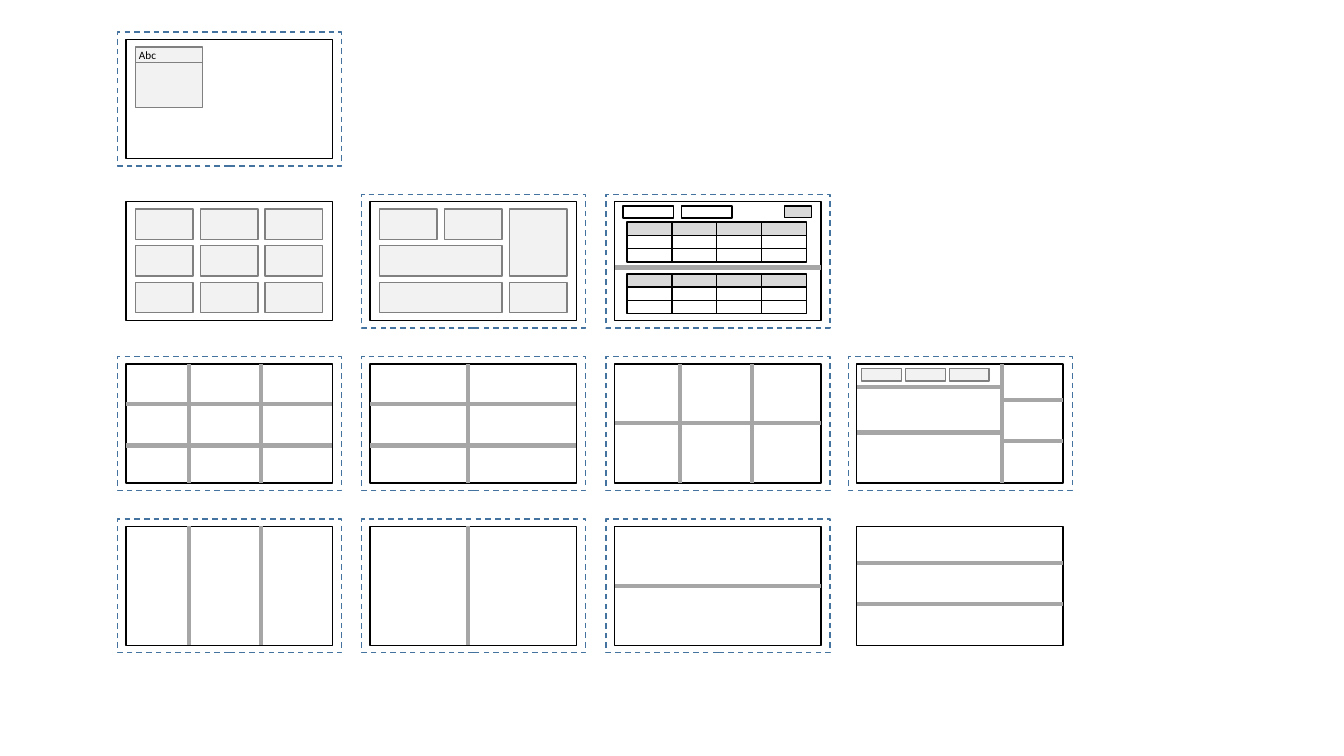
from itertools import product

from lxml.etree import SubElement
from pptx import Presentation
from pptx.dml.color import RGBColor
from pptx.enum.dml import MSO_LINE_DASH_STYLE as Dash
from pptx.enum.shapes import MSO_CONNECTOR as Connector, MSO_SHAPE as Shape
from pptx.enum.text import MSO_AUTO_SIZE as AutoSize
from pptx.oxml.ns import qn
from pptx.util import Pt

COLUMN_LEFTS = (90, 264.4, 439, 612)
FIRST_TOP, ROW_PITCH = 28.2, 115.9
WIDTH, HEIGHT = 147.4, 85

STYLES = {
    "frame": ("FFFFFF", "000000", {"width": Pt(1)}),
    "outline": (None, "000000", {"width": Pt(1)}),
    "selection": (None, "43739E", {"width": Pt(1), "dash_style": Dash.DASH}),
    "tile": ("F2F2F2", "808080", {"width": Pt(1)}),
    "header": ("D9D9D9", "000000", {"width": Pt(1)}),
    "divider": (None, "A6A6A6", {"width": Pt(3)}),
    "rule": (None, "808080", {"width": Pt(0.5)}),
}


def color(value):
    """Turn a hex string into a colour."""
    return RGBColor.from_string(value)


def apply(target, values):
    """Set each format value on the target."""
    for name, value in values.items():
        setattr(target, name, value)


class Wireframes:
    """Draws layout panels; lengths count from the current panel's corner."""

    def __init__(self, slide):
        """Keep the slide and start at its corner."""
        self.slide = slide
        self.left = self.top = 0

    def stroke(self, line, style):
        """Give a line its style."""
        _, stroke, values = STYLES[style]
        line.color.rgb = color(stroke)
        apply(line, values)

    def box(self, style, x, y, width, height):
        """Add a styled rectangle."""
        shape = self.slide.shapes.add_shape(
            Shape.RECTANGLE, Pt(self.left + x), Pt(self.top + y), Pt(width), Pt(height))
        shape.shadow.inherit = False
        fill = STYLES[style][0]
        if fill:
            shape.fill.solid()
            shape.fill.fore_color.rgb = color(fill)
        else:
            shape.fill.background()
        self.stroke(shape.line, style)

    def line(self, x1, y1, x2, y2, style="divider"):
        """Add a straight line without shadow."""
        line = self.slide.shapes.add_connector(
            Connector.STRAIGHT, Pt(self.left + x1), Pt(self.top + y1),
            Pt(self.left + x2), Pt(self.top + y2))
        self.stroke(line.line, style)
        SubElement(line._element.spPr, qn("a:effectLst"))

    def label(self, text, x, y, width, height):
        """Add a small text label that fits its text."""
        box = self.slide.shapes.add_textbox(
            Pt(self.left + x), Pt(self.top + y), Pt(width), Pt(height))
        apply(box.text_frame, {"word_wrap": False, "auto_size": AutoSize.SHAPE_TO_FIT_TEXT})
        run = box.text_frame.paragraphs[0].add_run()
        run.text = text
        apply(run.font, {"size": Pt(8), "name": "Calibri"})
        run.font.color.rgb = color("000000")

    def panel(self, column, row, selected=True, style="frame"):
        """Move to a panel of the overview and draw its frame."""
        self.left = COLUMN_LEFTS[column]
        self.top = FIRST_TOP + row * ROW_PITCH
        self.box(style, 0, 0, WIDTH, HEIGHT)
        if selected:
            self.box("selection", -6, -5.3, 160, 95.6)

    def split(self, verticals=(), horizontals=(), start=0, end=WIDTH):
        """Divide the panel with lines at the given offsets."""
        for x in verticals:
            self.line(x, 0, x, HEIGHT)
        for y in horizontals:
            self.line(start, y, end, y)

    def tile(self, column, row, columns=1, rows=1):
        """Add a tile of the three by three grid, spanning if asked."""
        self.box("tile", 6.6 + 46.4 * column, 5.2 + 26.2 * row,
                 41.2 + 46.4 * (columns - 1), 21.7 + 26.2 * (rows - 1))

    def data_grid(self, top):
        """Add a four-column grid with a grey header row."""
        for row, column in product(range(3), range(4)):
            self.box("frame" if row else "header",
                     8.9 + 32 * column, top + 9.5 * row, 32, 9.5)


deck = Presentation()
apply(deck, {"slide_width": Pt(960), "slide_height": Pt(540)})
wires = Wireframes(deck.slides.add_slide(deck.slide_layouts[6]))

# Free-floating window
wires.panel(0, 0)
wires.box("tile", 6.6, 5.5, 48.2, 43.2)
wires.label("Abc", 2.2, 2.9, 26.6, 17.3)
wires.line(7, 16.6, 54.2, 16.6, "rule")

# Tile grids and data grids
wires.panel(0, 1, selected=False)
for column, row in product(range(3), repeat=2):
    wires.tile(column, row)

wires.panel(1, 1)
for tile in ((0, 1, 2), (0, 2, 2), (0, 0), (1, 0), (2, 0, 1, 2), (2, 2)):
    wires.tile(*tile)

wires.panel(2, 1)
wires.split(horizontals=(47,))
for top in (14.5, 51.5):
    wires.data_grid(top)
for x in (6, 47.8):
    wires.box("frame", x, 3.2, 36.2, 8.4)
wires.box("header", 121.2, 3.2, 19.4, 8)

# Split panels: column, row, selected, vertical and horizontal dividers
THIRDS, HALF = (44.8, 96.6), (70,)
SPLITS = (
    (0, 2, True, THIRDS, (28.8, 58.2)),
    (1, 2, True, HALF, (28.8, 58.2)),
    (2, 2, True, (46.8, 98.2), (42.2,)),
    (0, 3, True, THIRDS, ()),
    (1, 3, True, HALF, ()),
    (2, 3, True, (), (42.5,)),
    (3, 3, False, (), (26, 55.4)),
)
for column, row, selected, verticals, horizontals in SPLITS:
    wires.panel(column, row, selected)
    wires.split(verticals, horizontals)

# Main area with toolbar and sidebar
SIDEBAR = 103.8
wires.panel(3, 2, style="outline")
wires.split((SIDEBAR,), (16.4, 49), end=SIDEBAR)
wires.split((), (25.8, 55), start=SIDEBAR)
for button in range(3):
    wires.box("tile", 3.5 + 31.3 * button, 3.4, 28.4, 8.8)

deck.save("out.pptx")
